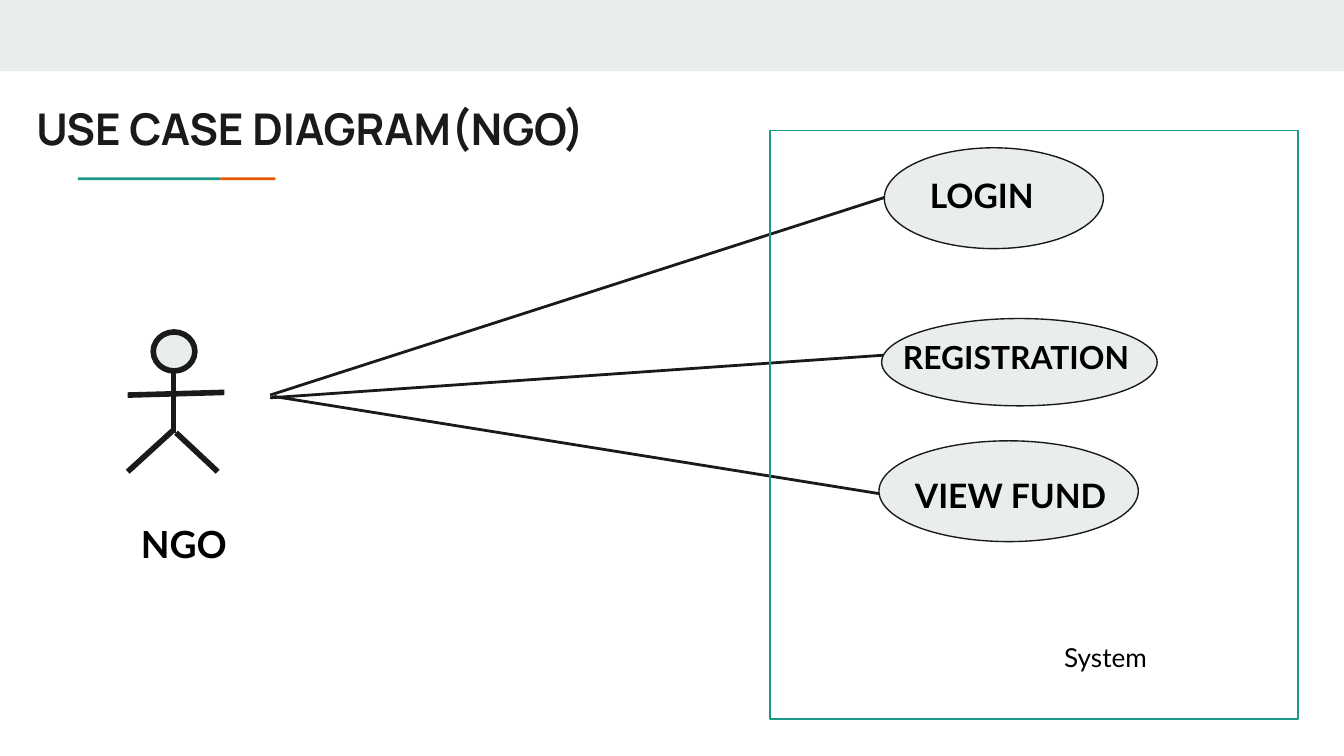
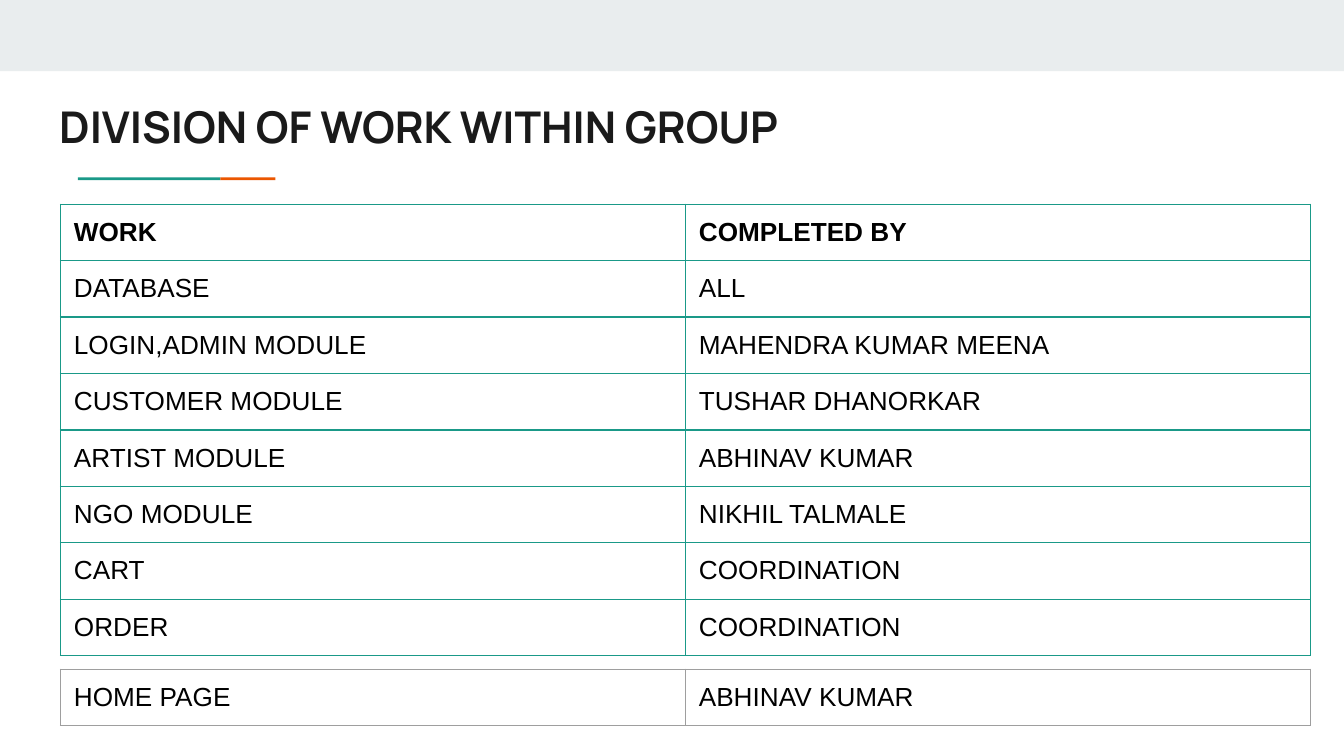
from lxml import etree
from pptx import Presentation
from pptx.dml.color import RGBColor
from pptx.enum.shapes import MSO_CONNECTOR, MSO_SHAPE
from pptx.enum.text import MSO_ANCHOR, MSO_AUTO_SIZE, PP_ALIGN
from pptx.oxml.ns import qn
from pptx.util import Inches, Pt

RECTANGLE = MSO_SHAPE.RECTANGLE
OVAL = MSO_SHAPE.OVAL
STRAIGHT = MSO_CONNECTOR.STRAIGHT
TOP = MSO_ANCHOR.TOP
LEFT = PP_ALIGN.LEFT
NO_AUTOFIT = MSO_AUTO_SIZE.NONE

COLORS = {
    "pale": "E9EDEE",
    "green": "1A9988",
    "orange": "EB5600",
    "ink": "1A1A1A",
    "black": "000000",
    "white": "FFFFFF",
    "grey": "9E9E9E",
}
TITLE_FONT, LABEL_FONT, TABLE_FONT = "Manrope", "Lato", "Arial"
MARGIN = 0.1
ROW_HEIGHT = 0.42
TITLE_ONLY_LAYOUT = 5

# Each oval's box, its label's box, the label and the label's size
USE_CASES = [
    ((0.85, 0.13, 1.63, 0.75), (1.09, 0.23, 1.37, 0.55), "LOGIN", 18),
    ((0.83, 1.40, 2.05, 0.65), (0.89, 1.44, 1.93, 0.46), "REGISTRATION", 17),
    ((0.81, 2.31, 1.93, 0.75), (0.98, 2.46, 1.76, 0.55), "VIEW FUND", 18),
]
ASSOCIATIONS = [
    ((2.01, 2.94), (6.58, 1.47)),
    ((6.62, 2.64), (2.01, 2.96)),
    ((6.71, 3.70), (2.04, 2.95)),
]
WORK_ROWS = [
    ("WORK", "COMPLETED BY"),
    ("DATABASE", "ALL"),
    ("LOGIN,ADMIN MODULE", "MAHENDRA KUMAR MEENA"),
    ("CUSTOMER MODULE", "TUSHAR DHANORKAR"),
    ("ARTIST MODULE", "ABHINAV KUMAR"),
    ("NGO MODULE", "NIKHIL TALMALE"),
    ("CART", "COORDINATION"),
    ("ORDER", "COORDINATION"),
]
HOME_PAGE_ROWS = [("HOME PAGE", "ABHINAV KUMAR")]


def color(name):
    return RGBColor.from_string(COLORS[name])


def inches(values):
    return [Inches(value) for value in values]


def shifted(box, left, top):
    return (left + box[0], top + box[1], *box[2:])


def add_shape(slide, kind, box, fill=None, line=None, width=0.75):
    shape = slide.shapes.add_shape(kind, *inches(box))
    shape.shadow.inherit = False
    if fill:
        shape.fill.solid()
        shape.fill.fore_color.rgb = color(fill)
    else:
        shape.fill.background()
    if line:
        shape.line.color.rgb = color(line)
        shape.line.width = Pt(width)
    else:
        shape.line.fill.background()
    return shape


def add_line(slide, start, end, width):
    connector = slide.shapes.add_connector(STRAIGHT, *inches((*start, *end)))
    connector.line.color.rgb = color("ink")
    connector.line.width = Pt(width)
    properties = connector._element.spPr
    etree.SubElement(properties, qn("a:effectLst"))


def write_text(shape, text, font_name, size, bold=False, font_color="black"):
    frame = shape.text_frame
    frame.word_wrap = True
    frame.auto_size = NO_AUTOFIT
    frame.vertical_anchor = TOP
    frame.margin_left = frame.margin_right = Inches(MARGIN)
    frame.margin_top = frame.margin_bottom = Inches(MARGIN)
    frame.text = text
    format_paragraph(frame.paragraphs[0], font_name, size, bold, font_color)


def format_paragraph(paragraph, font_name, size, bold, font_color):
    paragraph.alignment = LEFT
    font = paragraph.font
    font.name = font_name
    font.size = Pt(size)
    font.bold = bold
    font.color.rgb = color(font_color)


def add_label(slide, box, text, size):
    label = slide.shapes.add_textbox(*inches(box))
    write_text(label, text, LABEL_FONT, size, bold=True)


def add_titled_slide(presentation, title_text, left, top):
    """Add a slide with the top band, the two-colour rule and its title."""
    layout = presentation.slide_layouts[TITLE_ONLY_LAYOUT]
    slide = presentation.slides.add_slide(layout)
    add_shape(slide, RECTANGLE, (0, 0, 10, 0.53), "pale")
    add_shape(slide, RECTANGLE, (0.58, 1.32, 1.06, 0.02), "green")
    add_shape(slide, RECTANGLE, (1.64, 1.32, 0.41, 0.02), "orange")
    title = slide.shapes.title
    title.left, title.top, title.width, title.height = inches(
        (left, top, 6.31, 0.58))
    write_text(title, title_text, TITLE_FONT, 23.4, True, "ink")
    return slide


def add_actor(slide, left, top, name):
    """Draw a stick figure with its name below."""
    limbs = [
        ((0.34, 0.29), (0.34, 0.75)),
        ((0.34, 0.73), (0, 1.04)),
        ((0.36, 0.75), (0.67, 1.04)),
        ((0, 0.47), (0.72, 0.45)),
    ]
    for start, end in limbs:
        add_line(slide, shifted(start, left, top), shifted(end, left, top), 3)
    head = shifted((0.19, 0, 0.31, 0.29), left, top)
    add_shape(slide, OVAL, head, "pale", "ink", 3)
    add_label(slide, shifted((0, 1.31, 1.93, 0.61), left, top), name, 20)


def add_system(slide, left, top, width, height):
    """Draw the use cases inside the system boundary."""
    for oval_box, label_box, text, size in USE_CASES:
        add_shape(slide, OVAL, shifted(oval_box, left, top), "pale", "ink")
        add_label(slide, shifted(label_box, left, top), text, size)
    add_shape(slide, RECTANGLE, (left, top, width, height), line="green")
    caption_box = shifted((2.09, 3.7, 1.56, 0.3), left, top)
    caption = add_shape(slide, RECTANGLE, caption_box, line="white")
    write_text(caption, "System", LABEL_FONT, 14)


def set_borders(cell, line_color):
    properties = cell._tc.get_or_add_tcPr()
    for position, side in enumerate(("a:lnL", "a:lnR", "a:lnT", "a:lnB")):
        border = etree.Element(qn(side), w=str(Pt(0.75)))
        fill = etree.SubElement(border, qn("a:solidFill"))
        etree.SubElement(fill, qn("a:srgbClr"), val=COLORS[line_color])
        properties.insert(position, border)


def add_work_table(slide, left, top, width, rows, line_color, header=False):
    frame = slide.shapes.add_table(
        len(rows), len(rows[0]),
        *inches((left, top, width, ROW_HEIGHT * len(rows))))
    table = frame.table
    table.first_row = header
    table.horz_banding = False
    for row_index, values in enumerate(rows):
        table.rows[row_index].height = Inches(ROW_HEIGHT)
        for column_index, value in enumerate(values):
            cell = table.cell(row_index, column_index)
            cell.fill.background()
            cell.margin_left = cell.margin_right = Inches(MARGIN)
            cell.margin_top = cell.margin_bottom = Inches(MARGIN)
            cell.text = value
            format_paragraph(cell.text_frame.paragraphs[0], TABLE_FONT, 14,
                             header and row_index == 0, "black")
            set_borders(cell, line_color)


def build_use_case_slide(presentation):
    slide = add_titled_slide(presentation, "USE CASE DIAGRAM(NGO)", 0.17, 0.66)
    add_actor(slide, 0.95, 2.47, "NGO")
    for start, end in ASSOCIATIONS:
        add_line(slide, start, end, 1.5)
    add_system(slide, 5.73, 0.97, 3.93, 4.38)


def build_division_slide(presentation):
    slide = add_titled_slide(
        presentation, "DIVISION OF WORK WITHIN GROUP", 0.34, 0.64)
    add_work_table(slide, 0.45, 1.52, 9.3, WORK_ROWS, "green", header=True)
    add_work_table(slide, 0.45, 4.98, 9.3, HOME_PAGE_ROWS, "grey")


def main():
    presentation = Presentation()
    presentation.slide_width = Inches(10)
    presentation.slide_height = presentation.slide_width * 9 // 16
    build_use_case_slide(presentation)
    build_division_slide(presentation)
    presentation.save("out.pptx")


if __name__ == "__main__":
    main()
